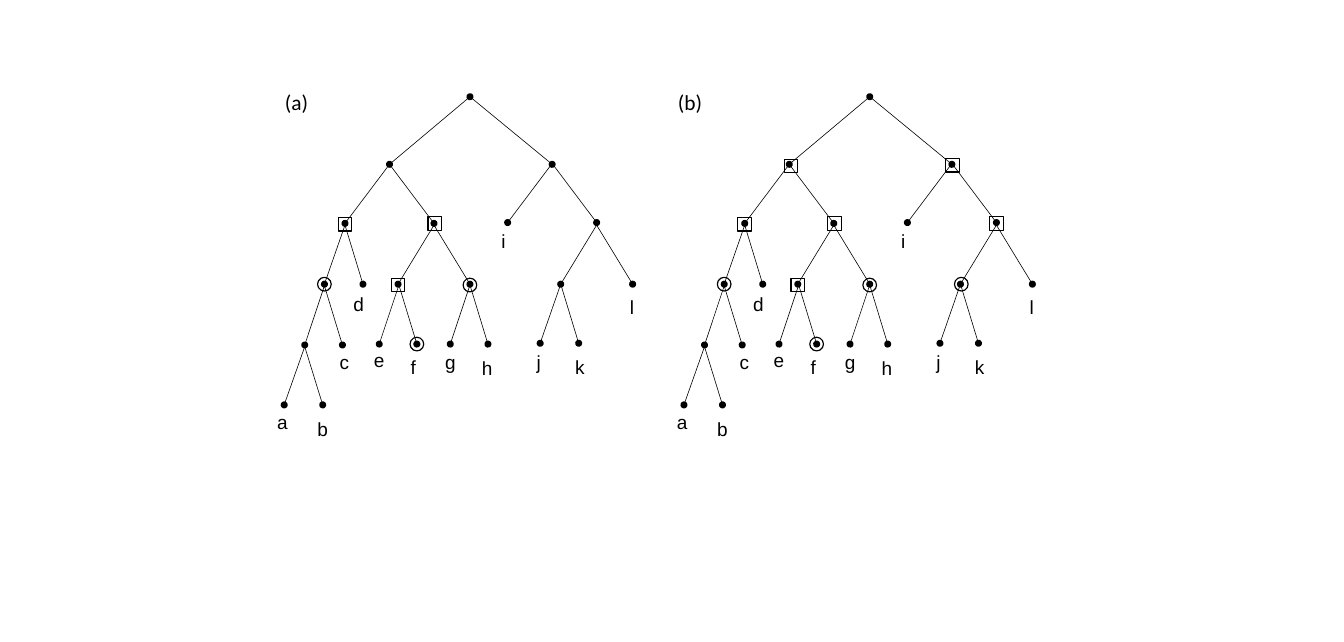
from pptx import Presentation
from pptx.dml.color import RGBColor
from pptx.enum import shapes, text
from pptx.oxml.ns import qn
from pptx.util import Inches, Pt
from lxml import etree

BLACK = RGBColor(0, 0, 0)
RING = shapes.MSO_SHAPE.OVAL
BOX = shapes.MSO_SHAPE.RECTANGLE
MARK = 0.16  # side of a ring or box
SHIFT = 4.67  # from tree (a) to tree (b)

# Forks: apex x, apex y, left child x, right child x, child y
FORKS = [
    (5.49, 1.13, 4.55, 6.45, 1.92),
    (4.55, 1.92, 4.03, 5.07, 2.61),
    (6.45, 1.91, 5.93, 6.97, 2.6),
    (4.03, 2.63, 3.79, 4.24, 3.32),
    (5.07, 2.63, 4.65, 5.49, 3.32),
    (6.97, 2.63, 6.55, 7.39, 3.32),
    (3.79, 3.34, 3.56, 4, 4.03),
    (4.66, 3.33, 4.43, 4.87, 4.02),
    (5.49, 3.33, 5.26, 5.7, 4.02),
    (6.55, 3.32, 6.31, 6.76, 4.01),
    (3.56, 4.05, 3.32, 3.77, 4.73),
]

# Leaf names: left, top, width
LEAVES = {
    "a": (3.14, 4.75, 0.32), "b": (3.61, 4.83, 0.31),
    "c": (3.87, 4.04, 0.29), "d": (4.03, 3.37, 0.32),
    "e": (4.27, 4.02, 0.29), "f": (4.7, 4.11, 0.27),
    "g": (5.1, 4.04, 0.31), "h": (5.53, 4.12, 0.32),
    "i": (5.76, 2.63, 0.27), "l": (7.26, 3.4, 0.26),
    "k": (6.62, 4.1, 0.31), "j": (6.17, 4.04, 0.26),
}

# Marked nodes: those in both trees, and those in tree (b) only
BOTH = [
    (RING, 3.71, 3.24), (RING, 4.79, 3.94), (RING, 5.41, 3.25),
    (BOX, 4.57, 3.25), (BOX, 5, 2.53), (BOX, 3.95, 2.54),
]
EXTRA = [
    (RING, 6.48, 3.24), (BOX, 6.89, 2.53),
    (BOX, 6.38, 1.85), (BOX, 4.49, 1.86),
]


def add_edge(group, x1, y1, x2, y2, ends):
    edge = group.shapes.add_connector(
        shapes.MSO_CONNECTOR.STRAIGHT,
        Inches(x1), Inches(y1), Inches(x2), Inches(y2))
    edge.line.color.rgb = BLACK
    edge.line.width = Pt(0.5)
    for end in ends:
        dot = etree.SubElement(edge.line._get_or_add_ln(), qn(end))
        dot.set("type", "oval")
    etree.SubElement(edge._element.spPr, qn("a:effectLst"))


def add_label(parent, word, x, y, w, h, font, size):
    label = parent.shapes.add_textbox(Inches(x), Inches(y), Inches(w), Inches(h))
    frame = label.text_frame
    frame.word_wrap = False
    frame.auto_size = text.MSO_AUTO_SIZE.SHAPE_TO_FIT_TEXT
    run = frame.paragraphs[0].add_run()
    run.text = word
    run.font.name = font
    run.font.size = Pt(size)
    run.font.color.rgb = BLACK


deck = Presentation()
deck.slide_width = Inches(15.7)
deck.slide_height = Inches(7.5)
slide = deck.slides.add_slide(deck.slide_layouts[6])

for dx, marks in ((0, BOTH), (SHIFT, BOTH + EXTRA)):
    tree = slide.shapes.add_group_shape()

    # Edges, with a dot at each child and at the root
    for fork in FORKS:
        x, y, left, right, low = fork
        ends = ["a:headEnd", "a:tailEnd"] if fork == FORKS[0] else ["a:headEnd"]
        add_edge(tree, left + dx, low, x + dx, y, ends)
        add_edge(tree, right + dx, low, x + dx, y, ["a:headEnd"])

    # Leaf names
    for leaf, (x, y, w) in LEAVES.items():
        add_label(tree, leaf, x + dx, y, w, 0.37, "Arial", 16)

    # Rings and boxes round marked nodes
    for kind, x, y in marks:
        mark = tree.shapes.add_shape(
            kind, Inches(x + dx), Inches(y), Inches(MARK), Inches(MARK))
        mark.shadow.inherit = False
        mark.fill.background()
        mark.line.color.rgb = BLACK
        mark.line.width = Pt(1)

# Panel titles
for title, x in (("(a)", 3.23), ("(b)", 7.82)):
    add_label(slide, title, x, 0.99, 0.48, 0.4, "Calibri", 18)

deck.save("out.pptx")
